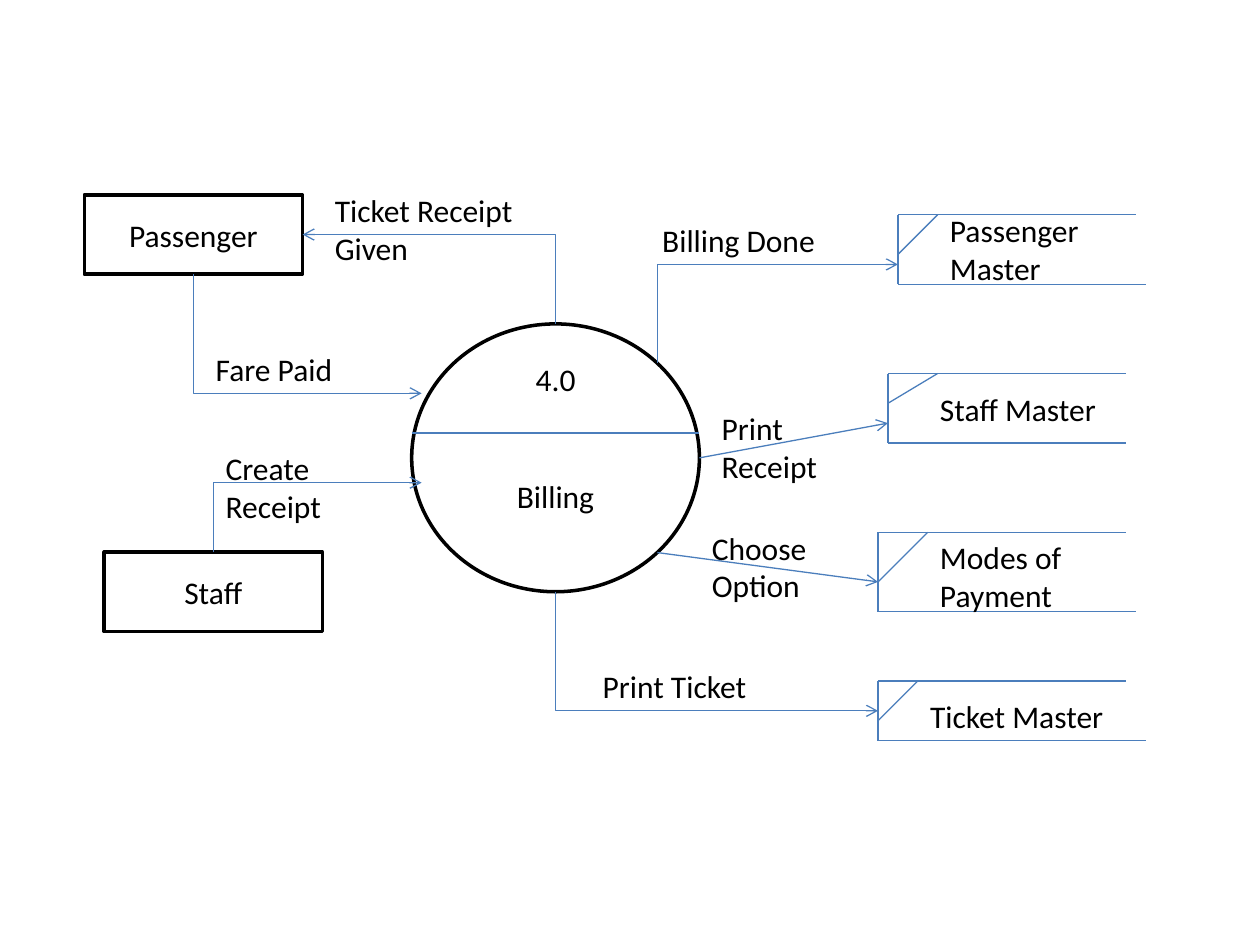
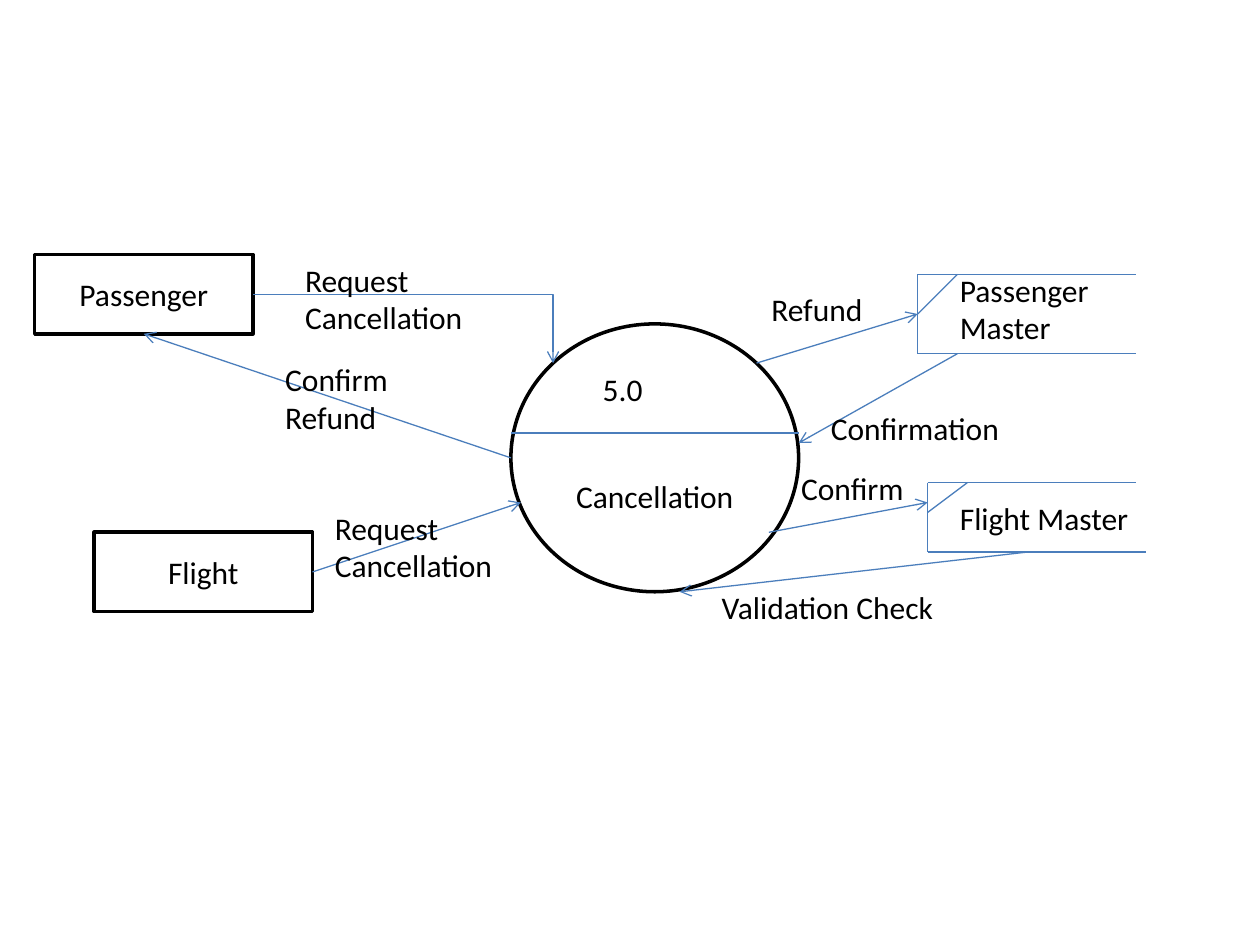
from dataclasses import dataclass
from math import cos, radians, sin

from lxml.etree import SubElement
from pptx import Presentation
from pptx.dml.color import RGBColor
from pptx.enum.shapes import MSO_CONNECTOR, MSO_SHAPE
from pptx.enum.text import MSO_ANCHOR, MSO_AUTO_SIZE, PP_ALIGN
from pptx.oxml.ns import qn
from pptx.util import Cm, Pt


@dataclass(frozen=True)
class Theme:
    ink: RGBColor = RGBColor(0, 0, 0)
    paper: RGBColor = RGBColor(255, 255, 255)
    flow: RGBColor = RGBColor(0x4B, 0x7E, 0xBC)
    font: str = "Calibri"
    size: Pt = Pt(18)
    outline: Pt = Pt(2)
    hairline: Pt = Pt(0.75)


THEME = Theme()
ORIGIN = (0.1, 0.13)            # grid origin on the page, in cm
LINE_HEIGHTS = {1: 1.03, 2: 1.79}
ENTITY_SIZE = (4.4, 1.6)
PROCESS_SIZE = (5.8, 5.4)
DIVIDER_DROP = 2.2
NAME_INSET = 1.68               # moves a process name below its divider


def place(x, y):
    """Turn a grid point in cm into a page position."""
    return Cm(ORIGIN[0] + x), Cm(ORIGIN[1] + y)


def write(frame, text, align=PP_ALIGN.LEFT, anchor=MSO_ANCHOR.TOP, inset=None):
    frame.word_wrap = True
    frame.vertical_anchor = anchor
    if inset is not None:
        frame.margin_top = Cm(inset)
    for index, line in enumerate(text.split("\n")):
        para = frame.paragraphs[0] if index == 0 else frame.add_paragraph()
        para.alignment = align
        span = para.add_run()
        span.text = line
        span.font.name = THEME.font
        span.font.size = THEME.size
        span.font.color.rgb = THEME.ink


def add_label(page, text, x, y, width, lines=1, align=PP_ALIGN.LEFT):
    box = page.shapes.add_textbox(*place(x, y), Cm(width), Cm(LINE_HEIGHTS[lines]))
    write(box.text_frame, text, align=align)
    box.text_frame.auto_size = MSO_AUTO_SIZE.SHAPE_TO_FIT_TEXT


def add_outline(page, kind, x, y, size, text, inset=None):
    shape = page.shapes.add_shape(kind, *place(x, y), Cm(size[0]), Cm(size[1]))
    shape.shadow.inherit = False
    shape.fill.solid()
    shape.fill.fore_color.rgb = THEME.paper
    shape.line.color.rgb = THEME.ink
    shape.line.width = THEME.outline
    write(shape.text_frame, text, align=PP_ALIGN.CENTER,
          anchor=MSO_ANCHOR.MIDDLE, inset=inset)


def add_line(page, start, end, kind=MSO_CONNECTOR.STRAIGHT, arrow=False):
    line = page.shapes.add_connector(kind, *place(*start), *place(*end))
    line.line.color.rgb = THEME.flow
    line.line.width = THEME.hairline
    properties = line._element.spPr
    if arrow:
        SubElement(properties.find(qn("a:ln")), qn("a:tailEnd"), type="arrow")
    SubElement(properties, qn("a:effectLst"))
    return properties


def add_elbow(page, start, end, vertical_first):
    """One-corner arrow; a quarter turn makes it leave vertically."""
    if vertical_first:
        half_x, half_y = (end[0] - start[0]) / 2, (end[1] - start[1]) / 2
        middle_x, middle_y = start[0] + half_x, start[1] + half_y
        start = (middle_x + half_y, middle_y - half_x)
        end = (middle_x - half_y, middle_y + half_x)
    properties = add_line(page, start, end, MSO_CONNECTOR.ELBOW, arrow=True)
    properties.find(qn("a:prstGeom")).set("prst", "bentConnector2")
    if vertical_first:
        properties.find(qn("a:xfrm")).set("rot", str(270 * 60000))


def add_flow(page, text, start, end, label, lines=1, bend=None):
    """Arrow with its label; label is (x, y, width)."""
    if bend:
        add_elbow(page, start, end, bend == "vertical")
    else:
        add_line(page, start, end, arrow=True)
    add_label(page, text, *label, lines=lines)


def add_entity(page, text, x, y):
    add_outline(page, MSO_SHAPE.RECTANGLE, x, y, ENTITY_SIZE, text)


def add_process(page, number, name, x, y, number_box, align=PP_ALIGN.LEFT):
    """Divided circle; returns a function giving rim points by clockwise angle."""
    width, height = PROCESS_SIZE
    add_outline(page, MSO_SHAPE.OVAL, x, y, PROCESS_SIZE, name, inset=NAME_INSET)
    left, top, number_width = number_box
    add_label(page, number, x + left, y + top, number_width, align=align)
    add_line(page, (x, y + DIVIDER_DROP), (x + width, y + DIVIDER_DROP))

    def rim(angle):
        return (x + width / 2 * (1 + cos(radians(angle))),
                y + height / 2 * (1 + sin(radians(angle))))
    return rim


def add_store(page, text, x, y, height, widths, notch, label, lines=1):
    """Open-ended data store; widths are top and bottom, label is relative."""
    bottom = y + height
    add_line(page, (x, y), (x + widths[0], y))
    add_line(page, (x, bottom), (x + widths[1], bottom))
    add_line(page, (x, y), (x, bottom))
    add_line(page, (x, y + notch[1]), (x + notch[0], y))
    left, top, width = label
    add_label(page, text, x + left, y + top, width, lines=lines)


def build_billing(page):
    rim = add_process(page, "4.0", "Billing", 8.2, 6.4, (2, 0.6, 1.8),
                      align=PP_ALIGN.CENTER)
    # People on the left
    add_entity(page, "Passenger", 1.6, 3.8)
    add_entity(page, "Staff", 2, 11)
    add_flow(page, "Create Receipt", (4.2, 11), (8.4, 9.6), (4.2, 8.8, 4),
             lines=2, bend="vertical")
    add_flow(page, "Ticket Receipt Given", rim(270), (6, 4.6), (6.4, 3.6, 4.4),
             lines=2, bend="vertical")
    add_flow(page, "Fare Paid", (3.8, 5.4), (8.4, 7.8), (4, 6.8, 4.2),
             bend="vertical")
    # Data stores on the right
    add_store(page, "Passenger Master", 18, 4.2, 1.4, (4.8, 5), (0.8, 0.8),
              (0.8, -0.2, 4.4), lines=2)
    add_store(page, "Staff Master", 17.8, 7.4, 1.4, (4.8, 4.8), (1, 0.6),
              (0.8, 0.2, 4))
    add_store(page, "Modes of Payment", 17.6, 10.6, 1.6, (5, 5.2), (1, 1),
              (1, 0, 5.2), lines=2)
    add_store(page, "Ticket Master", 17.6, 13.6, 1.2, (5, 5.4), (0.8, 0.8),
              (0.8, 0.2, 4.6))
    # Flows into the stores
    add_flow(page, "Billing Done", rim(315), (18, 5.2), (13, 4.2, 4.2),
             bend="vertical")
    add_flow(page, "Print Receipt", rim(0), (17.8, 8.4), (14.2, 8, 3.2), lines=2)
    add_flow(page, "Choose Option", rim(45), (17.6, 11.6), (14, 10.4, 3), lines=2)
    add_flow(page, "Print Ticket", rim(90), (17.6, 14.2), (11.8, 13.2, 5.2),
             bend="vertical")


def build_cancellation(page):
    rim = add_process(page, "5.0", "Cancellation", 10.2, 6.4, (1.6, 0.8, 1.6))
    # Sources on the left
    add_entity(page, "Passenger", 0.6, 5)
    add_entity(page, "Flight", 1.8, 10.6)
    add_flow(page, "Request\nCancellation", (5, 5.8), rim(225), (5.8, 5, 4.2),
             lines=2, bend="horizontal")
    add_flow(page, "Confirm Refund", rim(180), (2.8, 6.6), (5.4, 7, 3.4), lines=2)
    add_flow(page, "Request\nCancellation", (6.2, 11.4), (10.4, 10),
             (6.4, 10, 4.2), lines=2)
    # Data stores on the right
    add_store(page, "Passenger Master", 18.4, 5.4, 1.6, (4.4, 4.4), (0.8, 0.8),
              (0.6, -0.2, 4.4), lines=2)
    add_store(page, "Flight Master", 18.6, 9.6, 1.4, (4.2, 4.4), (0.8, 0.6),
              (0.4, 0.2, 4.4))
    # Flows to and from the stores
    add_flow(page, "Refund", rim(315), (18.4, 6.2), (15.2, 5.6, 3.2))
    add_flow(page, "Confirmation", (19.2, 7), (16, 8.8), (16.4, 8, 4.4))
    add_flow(page, "Confirm", (15.4, 10.6), (18.6, 10), (15.8, 9.2, 2.6))
    add_flow(page, "Validation Check", (20.6, 11), (13.6, 11.8), (14.2, 11.6, 7.4))


deck = Presentation()
deck.slide_width, deck.slide_height = Cm(25.4), Cm(19.05)
for build in (build_billing, build_cancellation):
    build(deck.slides.add_slide(deck.slide_layouts[6]))
deck.save("out.pptx")
